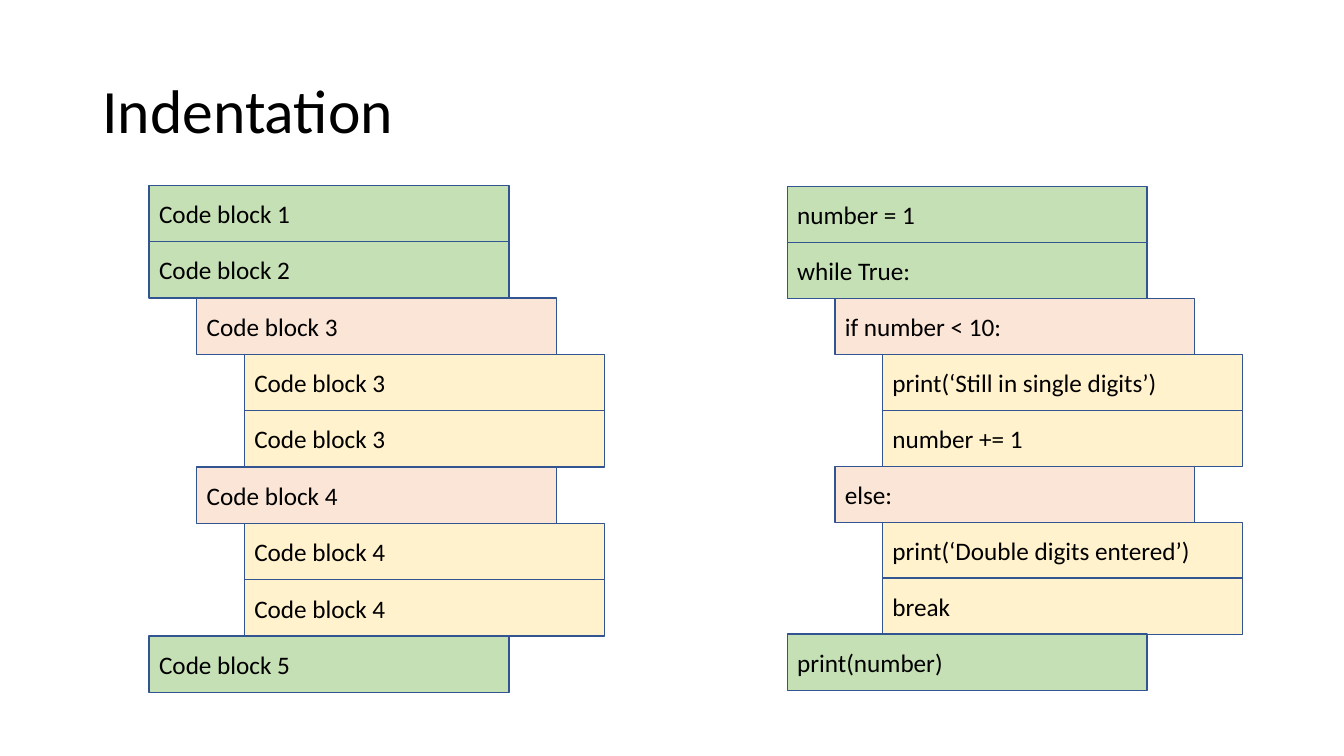
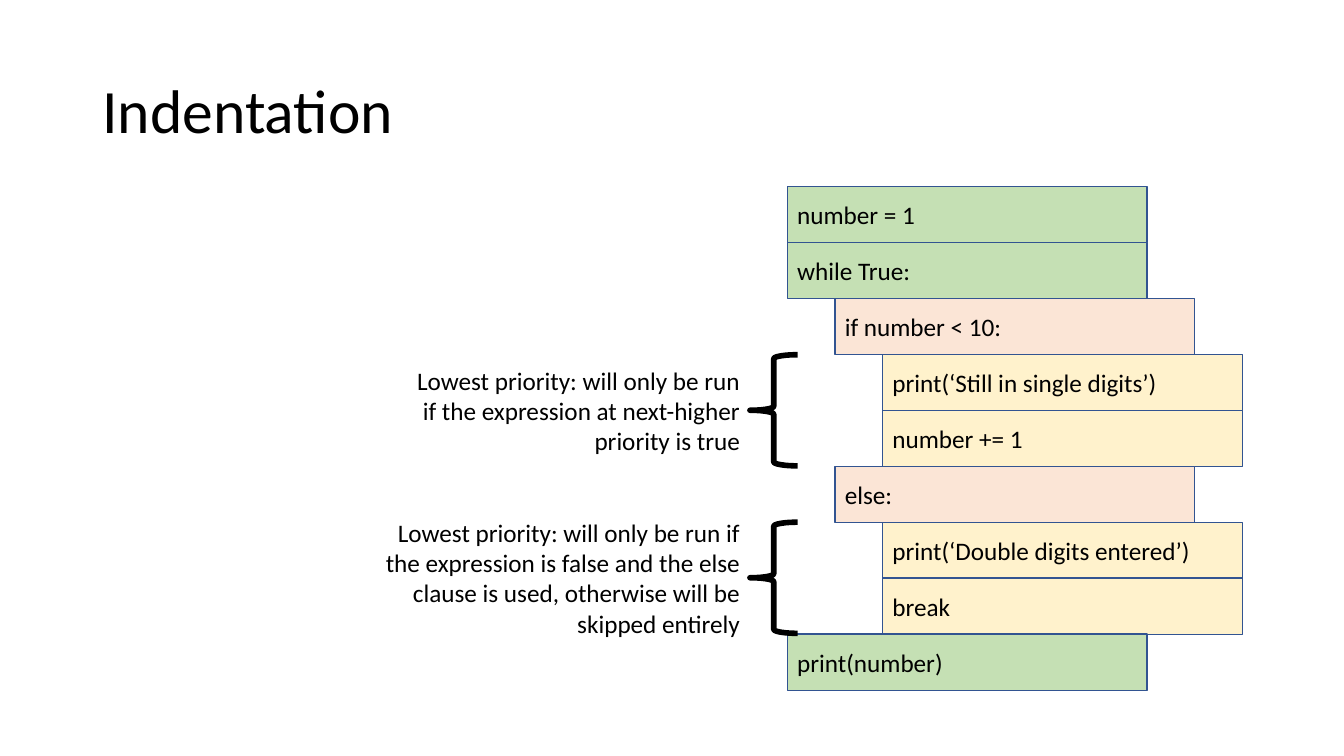
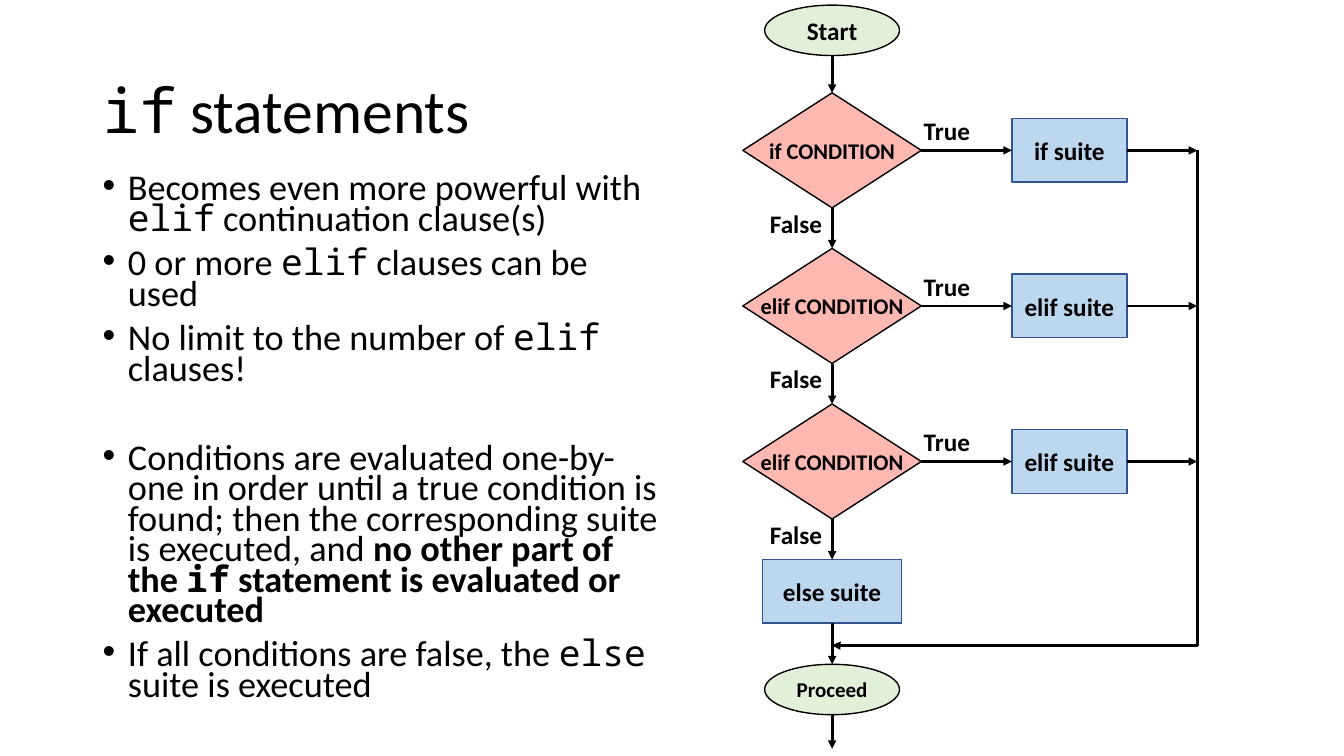
"""Build three slides on Python indentation and if statements."""
from lxml import etree
from pptx import Presentation
from pptx.dml.color import RGBColor
from pptx.enum.shapes import MSO_CONNECTOR, MSO_SHAPE
from pptx.enum.text import MSO_ANCHOR, MSO_AUTO_SIZE, PP_ALIGN
from pptx.oxml.ns import qn
from pptx.util import Cm, Pt

RECT, OVAL, DIAMOND, BRACE = (
    MSO_SHAPE.RECTANGLE, MSO_SHAPE.OVAL, MSO_SHAPE.DIAMOND, MSO_SHAPE.LEFT_BRACE)
STRAIGHT, ELBOW = MSO_CONNECTOR.STRAIGHT, MSO_CONNECTOR.ELBOW
LEFT, CENTER, RIGHT = PP_ALIGN.LEFT, PP_ALIGN.CENTER, PP_ALIGN.RIGHT
TOP, MIDDLE = MSO_ANCHOR.TOP, MSO_ANCHOR.MIDDLE
SITE_TOP, SITE_LEFT, SITE_BOTTOM, SITE_RIGHT = range(4)

SANS, MONO = "Calibri", "Noto Sans Mono"
COLORS = {
    "text": "000000", "edge": "325491", "condition": "FC7267",
    "suite": "BDD7EE", "terminal": "E2F0D9",
}
LEVEL_FILLS = ["C5E0B4", "FBE5D6", "FFF2CC"]

LEVELS = [0, 0, 1, 2, 2, 1, 2, 2, 0]
BLOCK_NAMES = [f"Code block {n}" for n in (1, 2, 3, 3, 3, 4, 4, 4, 5)]
CODE = [
    "number = 1",
    "while True:",
    "if number < 10:",
    "print(‘Still in single digits’)",
    "number += 1",
    "else:",
    "print(‘Double digits entered’)",
    "break",
    "print(number)",
]
NOTES = [
    (8.94, 8.86, "Lowest priority: will only be run if the expression at "
                 "next-higher priority is true"),
    (13.16, 9.58, "Lowest priority: will only be run if the expression is false and "
                  "the else clause is used, otherwise will be skipped entirely"),
]
BULLETS = [
    (0, [("Becomes even more powerful with ", SANS, False), ("elif", MONO, False),
         (" continuation clause(s)", SANS, False)]),
    (10, [("0 or more ", SANS, False), ("elif", MONO, False),
          (" clauses can be used", SANS, False)]),
    (10, [("No limit to the number of ", SANS, False), ("elif", MONO, False),
          (" clauses!", SANS, False)]),
    (41.7, [("Conditions are evaluated one-by-one in order until a true condition is "
             "found; then the corresponding suite is executed, and ", SANS, False),
            ("no other part of the ", SANS, True), ("if", MONO, True),
            (" statement is evaluated or executed", SANS, True)]),
    (10, [("If all conditions are false, the ", SANS, False), ("else", MONO, False),
          (" suite is executed", SANS, False)]),
]
CLAUSES = ["if", "elif", "elif"]


def rgb(name):
    return RGBColor.from_string(COLORS.get(name, name))


def add_run(p, text, size, font=SANS, bold=False):
    r = p.add_run()
    r.text = text
    r.font.name, r.font.size, r.font.bold = font, Pt(size), bold
    r.font.color.rgb = rgb("text")


def write(sp, text, size=18, bold=False, align=LEFT, anchor=MIDDLE, wrap=True):
    tf = sp.text_frame
    tf.word_wrap, tf.vertical_anchor = wrap, anchor
    p = tf.paragraphs[0]
    p.alignment = align
    add_run(p, text, size, bold=bold)


def place(sp, x, y, w, h):
    sp.left, sp.top, sp.width, sp.height = Cm(x), Cm(y), Cm(w), Cm(h)


def add_box(s, kind, x, y, w, h, fill, line="edge", weight=1):
    sp = s.shapes.add_shape(kind, Cm(x), Cm(y), Cm(w), Cm(h))
    sp.shadow.inherit = False
    if fill:
        sp.fill.solid()
        sp.fill.fore_color.rgb = rgb(fill)
    else:
        sp.fill.background()
    sp.line.color.rgb = rgb(line)
    sp.line.width = Pt(weight)
    return sp


def add_label(s, x, y, w, h, text, **style):
    write(s.shapes.add_textbox(Cm(x), Cm(y), Cm(w), Cm(h)), text, **style)


def add_slide(prs, layout, title_runs):
    s = prs.slides.add_slide(prs.slide_layouts[layout])
    title = s.shapes.title
    place(title, 2.33, 1.01, 29.21, 3.68)
    title.text_frame.vertical_anchor = MIDDLE
    p = title.text_frame.paragraphs[0]
    p.alignment, p.line_spacing = LEFT, 0.9
    for text, font in title_runs:
        add_run(p, text, 44, font)
    return s


def add_blocks(s, x, y, step, texts):
    for i, (level, text) in enumerate(zip(LEVELS, texts)):
        sp = add_box(s, RECT, x + 1.2 * level, y + step * i, 9.07, 1.42,
                     LEVEL_FILLS[level])
        write(sp, text)


def style_arrow(c):
    c.line.color.rgb = rgb("text")
    c.line.width = Pt(2)
    etree.SubElement(c.line._get_or_add_ln(), qn("a:tailEnd"), type="triangle")
    etree.SubElement(c._element.spPr, qn("a:effectLst"))


def add_arrow(s, start, end):
    """Draw an arrow between points or (shape, site) pairs."""
    c = s.shapes.add_connector(STRAIGHT, 0, 0, 0, 0)
    if isinstance(start[0], (int, float)):
        c.begin_x, c.begin_y = Cm(start[0]), Cm(start[1])
    else:
        c.begin_connect(*start)
    if isinstance(end[0], (int, float)):
        c.end_x, c.end_y = Cm(end[0]), Cm(end[1])
    else:
        c.end_connect(*end)
    style_arrow(c)


def add_return_arrow(s, x1, y1, x2, y2):
    """Draw an arrow that goes down and then left, as a turned elbow."""
    mid_x, mid_y, drop, run = (x1 + x2) / 2, (y1 + y2) / 2, y2 - y1, x1 - x2
    c = s.shapes.add_connector(
        ELBOW, Cm(mid_x - drop / 2), Cm(mid_y - run / 2),
        Cm(mid_x + drop / 2), Cm(mid_y + run / 2))
    spPr = c._element.spPr
    spPr.find(qn("a:xfrm")).set("rot", "5400000")
    guides = spPr.find(qn("a:prstGeom")).get_or_add_avLst()
    etree.SubElement(guides, qn("a:gd"), name="adj1", fmla="val 100100")
    style_arrow(c)


def add_bullets(s):
    body = s.placeholders[1]
    place(body, 2.33, 4.32, 14.6, 13.72)
    tf = body.text_frame
    tf.auto_size, tf.word_wrap = MSO_AUTO_SIZE.NONE, True
    for i, (before, runs) in enumerate(BULLETS):
        p = tf.add_paragraph() if i else tf.paragraphs[0]
        pPr = p._p.get_or_add_pPr()
        pPr.set("marL", str(Cm(0.64)))
        pPr.set("indent", str(-Cm(0.64)))
        p.line_spacing, p.space_before = 0.7, Pt(before)
        for text, font, bold in runs:
            add_run(p, text, 25.9, font, bold)


def add_flowchart(s):
    spine, rail, top, step = 20.97, 30.17, 2.34, 3.92
    w, h = 4.5, 2.9

    def centred(kind, y, width, height, fill, text, size=18, line="edge"):
        sp = add_box(s, kind, spine - width / 2, y, width, height, fill, line)
        write(sp, text, size, True, CENTER, wrap=kind != DIAMOND)
        return sp

    centred(OVAL, 0.13, 3.4, 1.27, "terminal", "Start", line="text")
    source = (spine, 1.4)
    for i, clause in enumerate(CLAUSES):
        y = top + step * i
        mid = y + h / 2
        condition = centred(DIAMOND, y, w, h, "condition", f"{clause} CONDITION",
                            16, "text")
        color = condition._element.spPr.find(qn("a:solidFill"))[0]
        etree.SubElement(color, qn("a:alpha"), val="50000")
        suite = add_box(s, RECT, 25.5, mid - 0.8, 2.9, 1.6, "suite")
        write(suite, f"{clause} suite", bold=True, align=CENTER)
        add_label(s, 23.03, mid - 1, 2.46, 1.02, "True", bold=True, anchor=TOP)
        add_label(s, 18.13, y + h - 0.12, 2.84, 1.02, "False", bold=True,
                  align=RIGHT, anchor=TOP)
        add_arrow(s, source, (condition, SITE_TOP))
        add_arrow(s, (condition, SITE_RIGHT), (suite, SITE_LEFT))
        add_arrow(s, (suite, SITE_RIGHT), (rail, mid))
        source = (condition, SITE_BOTTOM)
    else_suite = centred(RECT, top + step * len(CLAUSES), 3.5, 1.6, "suite", "else suite")
    proceed = centred(OVAL, 16.74, 3.4, 1.27, "terminal", "Proceed", 15, "text")
    add_arrow(s, source, (else_suite, SITE_TOP))
    add_arrow(s, (else_suite, SITE_BOTTOM), (proceed, SITE_TOP))
    add_arrow(s, (spine, 18.01), (spine, 18.87))
    add_return_arrow(s, rail, top + h / 2, spine, 16.26)


def main():
    prs = Presentation()
    prs.slide_width, prs.slide_height = Cm(33.87), Cm(19.05)

    s = add_slide(prs, 5, [("Indentation", SANS)])
    add_blocks(s, 3.76, 4.67, 1.42, BLOCK_NAMES)
    add_blocks(s, 19.84, 4.7, 1.41, CODE)

    s = add_slide(prs, 5, [("Indentation", SANS)])
    add_blocks(s, 19.84, 4.7, 1.41, CODE)
    brace_x, brace_h, note_h = 18.9, 2.8, 3.33
    for y, width, text in NOTES:
        add_box(s, BRACE, brace_x, y, 1.2, brace_h, None, "text", 4)
        add_label(s, brace_x - width, y + (brace_h - note_h) / 2, width, note_h, text,
                  align=RIGHT)

    s = add_slide(prs, 1, [("if", MONO), (" statements", SANS)])
    add_bullets(s)
    add_flowchart(s)
    prs.save("out.pptx")


if __name__ == "__main__":
    main()
